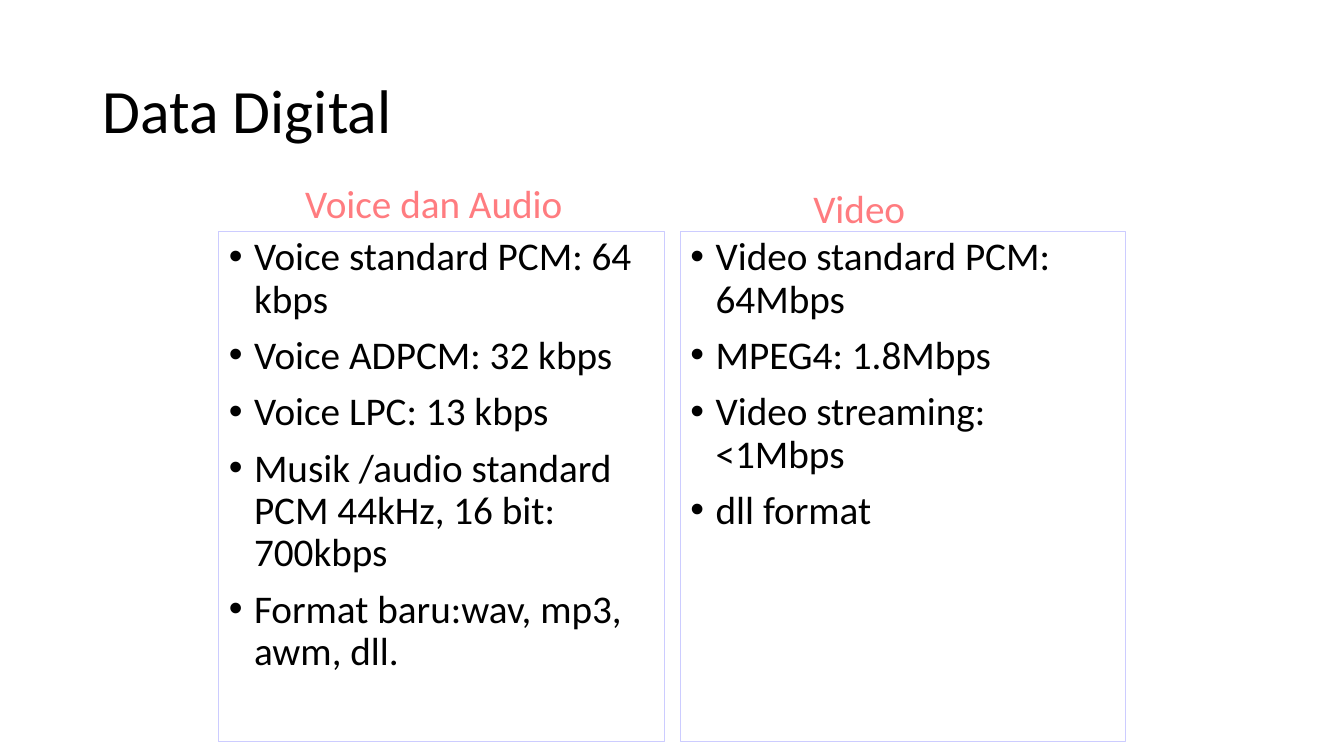
"""Builds the Data Digital slide with two framed bullet lists."""
from pptx import Presentation
from pptx.dml.color import RGBColor
from pptx.enum.text import MSO_ANCHOR, MSO_AUTO_SIZE, PP_ALIGN
from pptx.util import Pt

BLACK = RGBColor(0x00, 0x00, 0x00)
LAVENDER = RGBColor(0xCC, 0xCC, 0xFF)
CORAL = RGBColor(0xFF, 0x7C, 0x80)
FONT = "Calibri"

VOICE_ITEMS = [
    "Voice standard PCM: 64 kbps",
    "Voice ADPCM: 32 kbps",
    "Voice LPC: 13 kbps",
    "Musik /audio standard PCM 44kHz, 16 bit: 700kbps",
    "Format baru:wav, mp3, awm, dll.",
]
VIDEO_ITEMS = [
    "Video standard PCM: 64Mbps",
    "MPEG4: 1.8Mbps",
    "Video streaming: <1Mbps",
    "dll format",
]
COLUMNS = [
    (1, 156.24, VOICE_ITEMS, "Voice dan Audio", (210.96, 124.56, 205.92, 41.04)),
    (2, 486, VIDEO_ITEMS, "Video", (573.84, 128.16, 90, 41.04)),
]


def place(shape, left, top, width, height):
    shape.left, shape.top = Pt(left), Pt(top)
    shape.width, shape.height = Pt(width), Pt(height)


def style(para, size, color):
    para.alignment = PP_ALIGN.LEFT
    for span in para.runs:
        span.font.name = FONT
        span.font.size = Pt(size)
        span.font.color.rgb = color


deck = Presentation()
deck.slide_width, deck.slide_height = Pt(960), Pt(540)
page = deck.slides.add_slide(deck.slide_layouts[3])

title = page.shapes.title
place(title, 66.24, 28.8, 828, 104.4)
title.text_frame.text = "Data Digital"
title.text_frame.vertical_anchor = MSO_ANCHOR.MIDDLE
title.text_frame.auto_size = MSO_AUTO_SIZE.NONE
title_para = title.text_frame.paragraphs[0]
title_para.line_spacing = 0.9
style(title_para, 44, BLACK)

for index, left, items, heading, heading_area in COLUMNS:
    body = page.placeholders[index]
    place(body, left, 165.6, 318.24, 364.32)
    body.line.color.rgb = LAVENDER
    body.line.width = Pt(0.75)
    body.text_frame.text = "\n".join(items)
    body.text_frame.auto_size = MSO_AUTO_SIZE.NONE
    for para in body.text_frame.paragraphs:
        para.line_spacing = 0.9
        para.space_before = Pt(10)
        style(para, 28, BLACK)
        properties = para._p.get_or_add_pPr()
        properties.set("marL", str(Pt(18)))
        properties.set("indent", str(-Pt(18)))

    box = page.shapes.add_textbox(*map(Pt, heading_area))
    box.text_frame.text = heading
    box.text_frame.word_wrap = False
    box.text_frame.auto_size = MSO_AUTO_SIZE.SHAPE_TO_FIT_TEXT
    style(box.text_frame.paragraphs[0], 28, CORAL)

deck.save("out.pptx")
